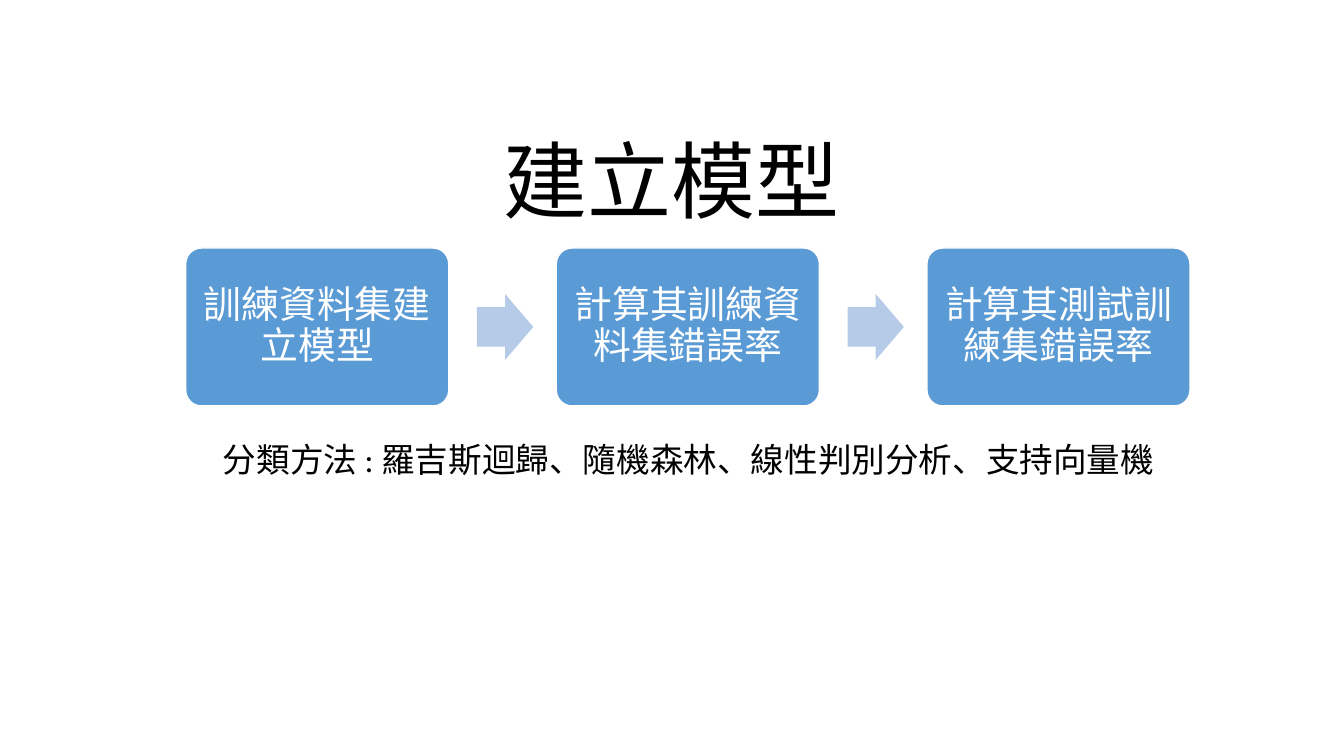
from dataclasses import dataclass

from pptx import Presentation
from pptx.dml.color import RGBColor
from pptx.enum.shapes import MSO_SHAPE
from pptx.enum.text import MSO_ANCHOR, PP_ALIGN
from pptx.util import Cm, Pt

ROUNDED = MSO_SHAPE.ROUNDED_RECTANGLE
ARROW = MSO_SHAPE.RIGHT_ARROW
TOP, MIDDLE, BOTTOM = MSO_ANCHOR.TOP, MSO_ANCHOR.MIDDLE, MSO_ANCHOR.BOTTOM
CENTER = PP_ALIGN.CENTER

FONT = "Calibri"
COLORS = {"ink": "000000", "paper": "FFFFFF", "step": "5B9BD5", "arrow": "B5CBE7"}

STEPS = ["訓練資料集建立模型", "計算其訓練資料集錯誤率", "計算其測試訓練集錯誤率"]
STEP_LEFT, STEP_TOP = 4.68, 6.25
STEP_WIDTH, STEP_HEIGHT = 6.63, 3.98
STEP_PITCH = 9.34
ARROW_OFFSET = 7.34
ARROW_WIDTH, ARROW_HEIGHT = 1.42, 1.66


@dataclass(frozen=True)
class Box:
    """A place on the slide, in centimetres."""
    left: float
    top: float
    width: float
    height: float

    def lengths(self):
        """Return left, top, width and height as slide lengths."""
        return [Cm(n) for n in (self.left, self.top, self.width, self.height)]


def write(shape, text: str, *, size: float, color: str = "ink", anchor=TOP,
          before: float = 0, inset: float | None = None) -> None:
    """Put one centred paragraph into a shape."""
    frame = shape.text_frame
    frame.word_wrap = True
    frame.vertical_anchor = anchor
    if inset is not None:
        frame.margin_left = frame.margin_right = Cm(inset)
        frame.margin_top = frame.margin_bottom = Cm(inset)
    paragraph = frame.paragraphs[0]
    paragraph.alignment = CENTER
    paragraph.line_spacing = 0.9
    paragraph.space_before = Pt(before)
    run = paragraph.add_run()
    run.text = text
    run.font.name = FONT
    run.font.size = Pt(size)
    run.font.color.rgb = RGBColor.from_string(COLORS[color])


def add_block(slide, kind, box: Box, fill: str, adjustments: list[float],
              outline: str | None = None):
    """Draw a filled preset shape, outlined if a colour is given."""
    block = slide.shapes.add_shape(kind, *box.lengths())
    block.shadow.inherit = False
    for index, value in enumerate(adjustments):
        block.adjustments[index] = value
    block.fill.solid()
    block.fill.fore_color.rgb = RGBColor.from_string(COLORS[fill])
    if outline:
        block.line.color.rgb = RGBColor.from_string(COLORS[outline])
        block.line.width = Pt(1)
    else:
        block.line.fill.background()
    return block


def add_process(slide, steps: list[str]) -> None:
    """Draw the steps in a row, with an arrow between neighbours."""
    arrow_top = STEP_TOP + (STEP_HEIGHT - ARROW_HEIGHT) / 2
    for index, label in enumerate(steps):
        left = STEP_LEFT + index * STEP_PITCH
        if index:
            place = Box(left - STEP_PITCH + ARROW_OFFSET, arrow_top,
                        ARROW_WIDTH, ARROW_HEIGHT)
            add_block(slide, ARROW, place, "arrow", [0.6, 0.5])
        place = Box(left, STEP_TOP, STEP_WIDTH, STEP_HEIGHT)
        step = add_block(slide, ROUNDED, place, "step", [0.1], "paper")
        write(step, label, size=27, color="paper", anchor=MIDDLE, inset=0.27)


def main() -> None:
    """Build and save the slide."""
    deck = Presentation()
    deck.slide_width, deck.slide_height = Cm(33.87), Cm(19.05)
    slide = deck.slides.add_slide(deck.slide_layouts[6])

    title = slide.shapes.add_textbox(*Box(4.23, 3.12, 25.4, 2.82).lengths())
    write(title, "建立模型", size=60, anchor=BOTTOM)
    methods = slide.shapes.add_textbox(*Box(4.65, 11.05, 25.4, 4.6).lengths())
    write(methods, "分類方法 : 羅吉斯迴歸、隨機森林、線性判別分析、支持向量機",
          size=24, before=10)
    add_process(slide, STEPS)

    deck.save("out.pptx")


main()
